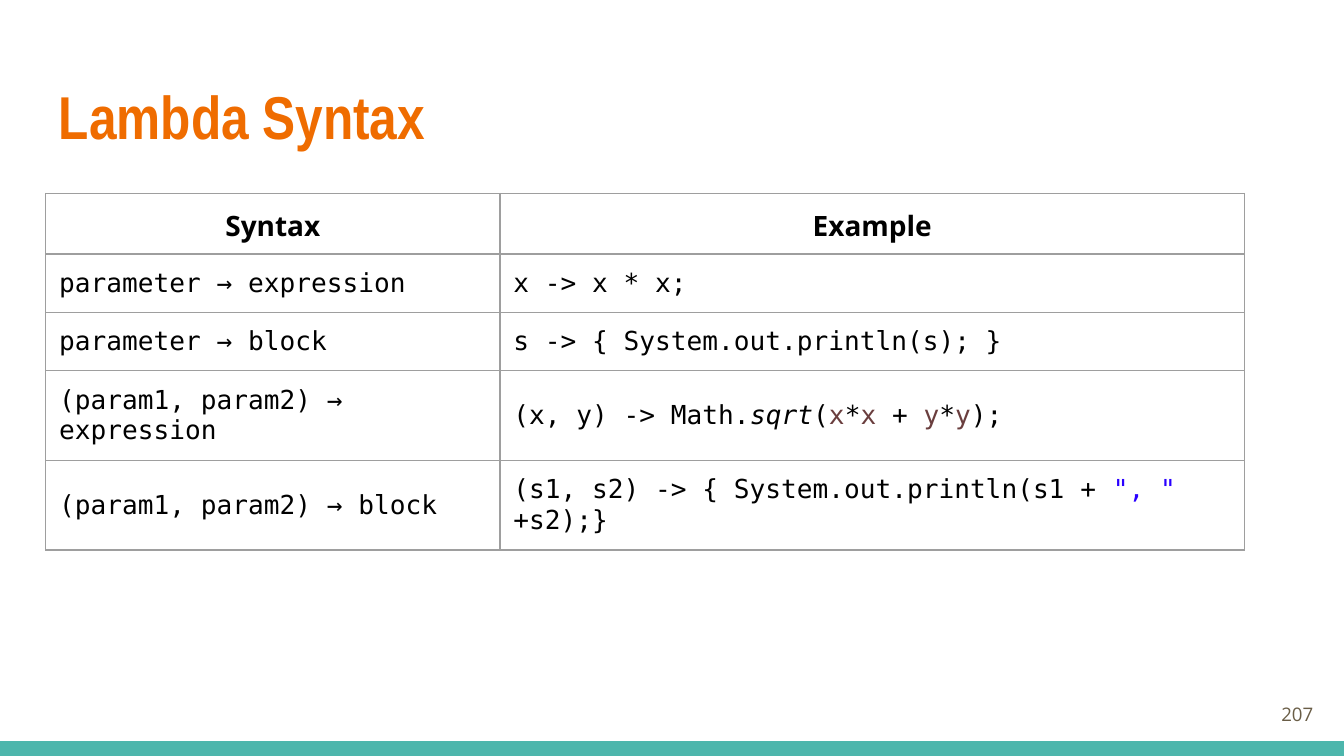
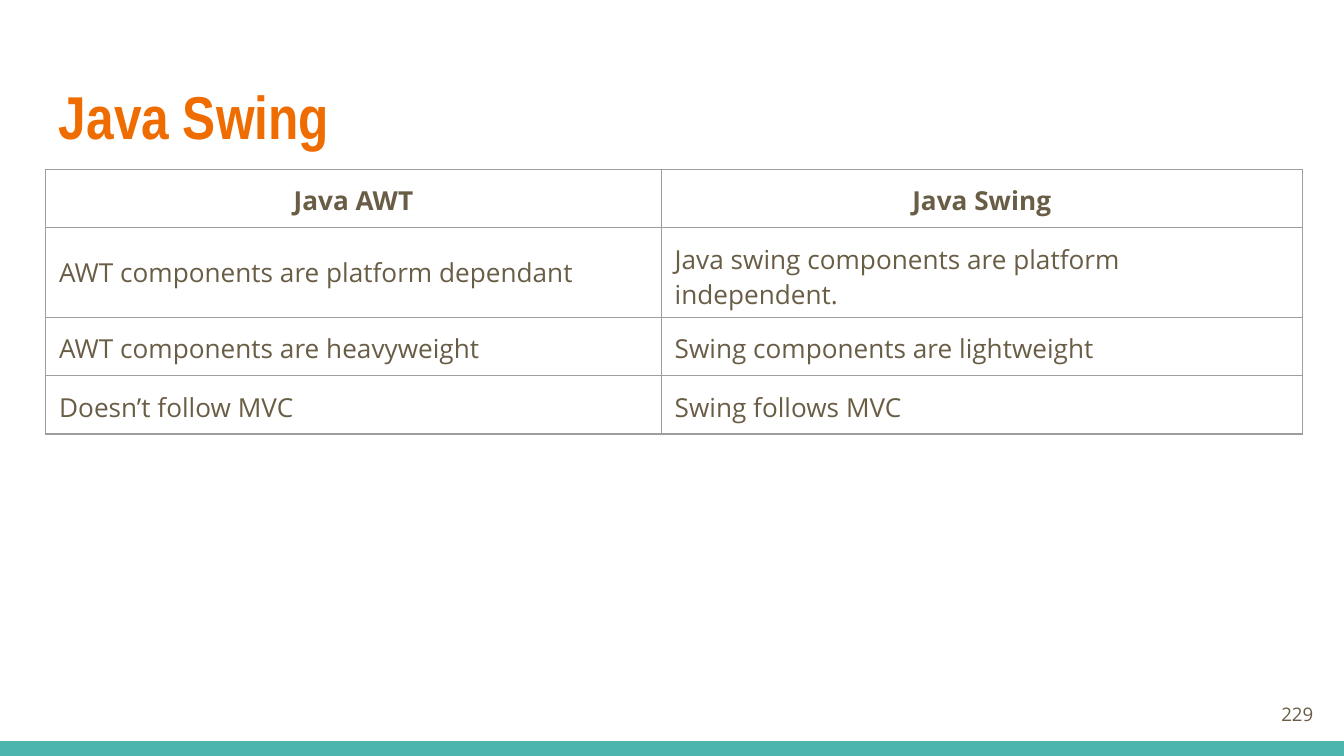
from lxml import etree
from pptx import Presentation
from pptx import util as u
from pptx.dml import color as clr
from pptx.enum import shapes, text
from pptx.oxml import ns

COLORS = {
    "band": "4DB6AC", "title": "EF6C00", "body": "695D46", "rule": "9E9E9E",
    "code": "000000", "var": "6A3E3E", "string": "2A00FF",
}
SANS, MONO, HEAD = "Open Sans", "DejaVu Sans Mono", "Arial Narrow"
WIDE = 10
HIGH = WIDE * 9 / 16
PAD, LEFT, ROW = 0.1, 0.34, 0.42
FRAME = 3.28
ALIGN, ANCHOR = text.PP_ALIGN, text.MSO_ANCHOR


def rgb(name):
    return clr.RGBColor.from_string(COLORS[name])


def write(para, runs, font, size, color, bold=False, align=ALIGN.LEFT):
    """Each run is plain text, or a pair of text and its own style."""
    para.alignment = align
    for part in [runs] if isinstance(runs, str) else runs:
        words, style = (part, {}) if isinstance(part, str) else part
        run = para.add_run()
        run.text = words
        run.font.name, run.font.size = font, u.Pt(size)
        run.font.bold, run.font.italic = bold, style.get("italic", False)
        run.font.color.rgb = rgb(style.get("color", color))


def inset(part):
    part.margin_left = part.margin_right = u.Inches(PAD)
    part.margin_top = part.margin_bottom = u.Inches(PAD)


def label(slide, box, words, anchor, **style):
    frame = slide.shapes.add_textbox(*map(u.Inches, box)).text_frame
    frame.word_wrap = True
    frame.vertical_anchor = anchor
    inset(frame)
    write(frame.paragraphs[0], words, **style)


def base(deck, title, number):
    """Blank slide with bottom band, title and page number."""
    slide = deck.slides.add_slide(deck.slide_layouts[6])
    deep = 0.11
    band = slide.shapes.add_shape(
        shapes.MSO_SHAPE.RECTANGLE,
        *map(u.Inches, (0, HIGH - deep, WIDE, deep)))
    band.shadow.inherit = False
    band.fill.solid()
    band.fill.fore_color.rgb = rgb("band")
    band.line.fill.background()
    label(slide, (LEFT, 0.49, WIDE - 2 * LEFT, 0.77), title, ANCHOR.TOP,
          font=HEAD, size=32.4, color="title", bold=True)
    label(slide, (9.27, 5.1, 0.6, 0.43), number, ANCHOR.MIDDLE,
          font=SANS, size=10, color="body", align=ALIGN.RIGHT)
    return slide


def border(cell):
    props = cell._tc.get_or_add_tcPr()
    for side in ("a:lnL", "a:lnR", "a:lnT", "a:lnB"):
        line = etree.SubElement(props, ns.qn(side), w=str(u.Pt(0.75)))
        fill = etree.SubElement(line, ns.qn("a:solidFill"))
        etree.SubElement(fill, ns.qn("a:srgbClr"), val=COLORS["rule"])


def grid(slide, left, top, cols, rows, head, body):
    """Ruled table whose first row takes the head style."""
    holder = slide.shapes.add_table(
        len(rows), len(cols), *map(u.Inches, (left, top, FRAME, FRAME)))
    table = holder.table
    table.first_row = table.horz_banding = False
    for col, width in zip(table.columns, cols):
        col.width = u.Inches(width)
    for r, row in enumerate(rows):
        table.rows[r].height = u.Inches(ROW)
        for c, runs in enumerate(row):
            cell = table.cell(r, c)
            border(cell)
            cell.fill.background()
            cell.vertical_anchor = ANCHOR.MIDDLE
            inset(cell)
            write(cell.text_frame.paragraphs[0], runs,
                  **(body if r else head))
    # A roomy frame lets each row grow to fit its text
    holder.width = holder.height = u.Inches(FRAME)


def lambdas(deck):
    slide = base(deck, "Lambda Syntax", "207")
    x, y = (("x", {"color": "var"}), ("y", {"color": "var"}))
    root = ["(x, y) -> Math.", ("sqrt", {"italic": True}), "(",
            x, "*", x, " + ", y, "*", y, ");"]
    join = ["(s1, s2) -> { System.out.println(s1 + ",
            ('", "', {"color": "string"}), " +s2);}"]
    rows = [
        ("Syntax", "Example"),
        ("parameter → expression", "x -> x * x;"),
        ("parameter → block", "s -> { System.out.println(s); }"),
        ("(param1, param2) → expression", root),
        ("(param1, param2) → block", join),
    ]
    grid(slide, LEFT, 1.44, (3.38, 5.54), rows,
         head=dict(font=SANS, size=15, color="code", bold=True,
                   align=ALIGN.CENTER),
         body=dict(font=MONO, size=14, color="code"))


def swing(deck):
    slide = base(deck, "Java Swing", "229")
    rows = [
        ("Java AWT", "Java Swing"),
        ("AWT components are platform dependant",
         "Java swing components are platform independent."),
        ("AWT components are heavyweight",
         "Swing components are lightweight"),
        ("Doesn’t follow MVC", "Swing follows MVC"),
    ]
    body = dict(font=SANS, size=14, color="body")
    grid(slide, LEFT, 1.26, (4.58, 4.77), rows,
         head=dict(body, bold=True, align=ALIGN.CENTER), body=body)


def main():
    deck = Presentation()
    deck.slide_width, deck.slide_height = u.Inches(WIDE), u.Inches(HIGH)
    lambdas(deck)
    swing(deck)
    deck.save("out.pptx")


if __name__ == "__main__":
    main()
